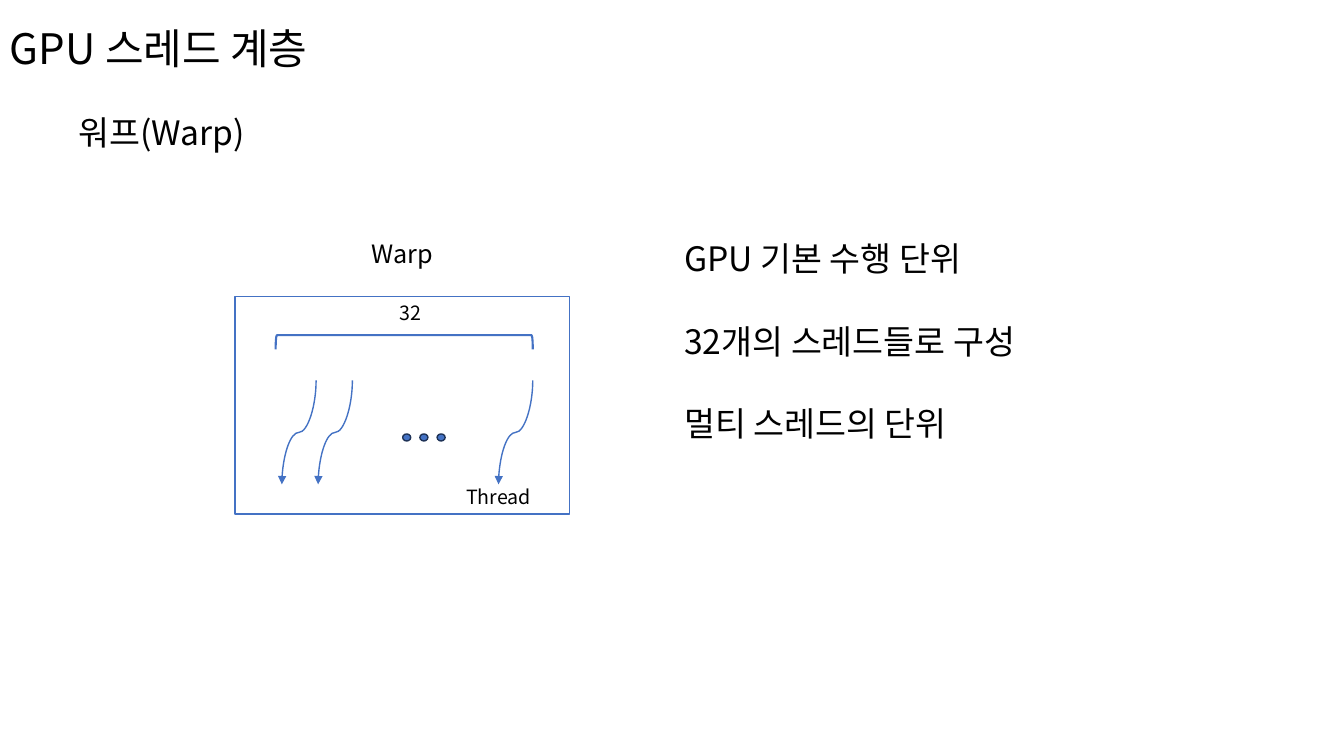
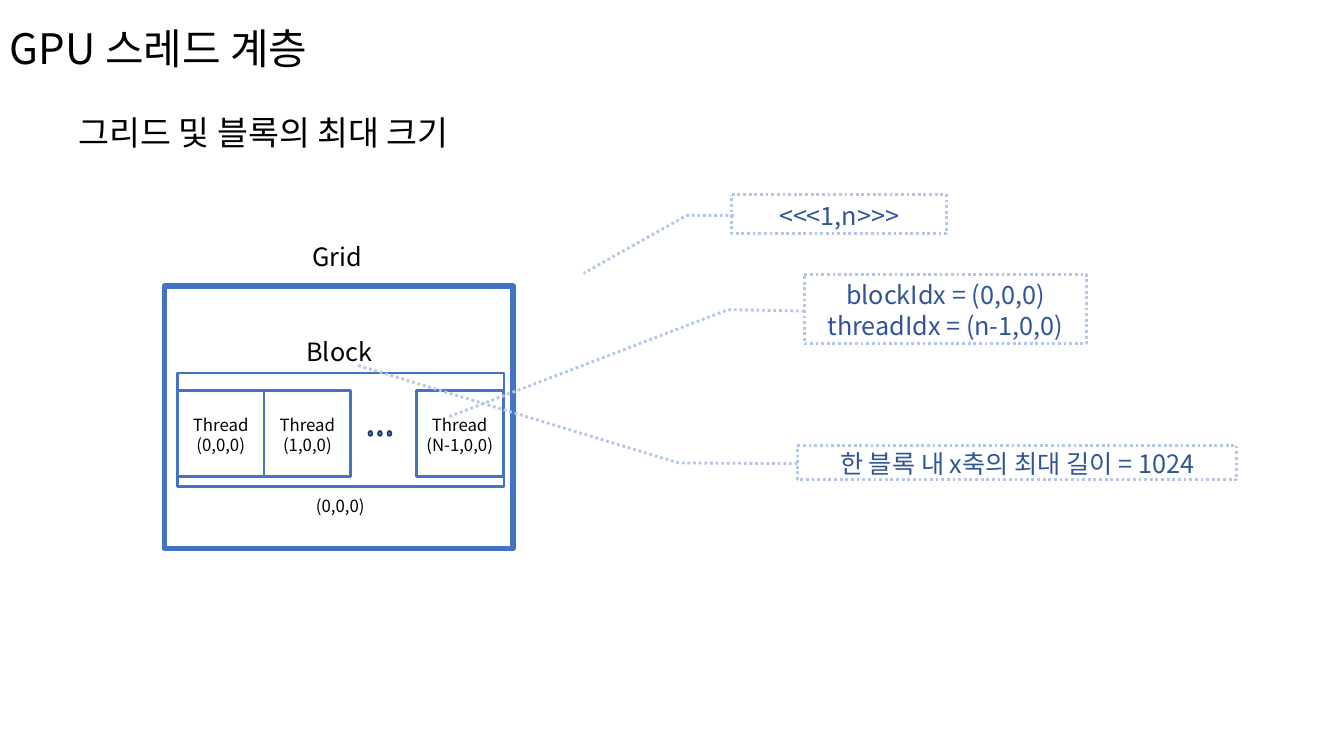
"""Build two slides on the GPU thread hierarchy: warps, and grid and block limits."""
import pptx
import pptx.util
import pptx.dml.color
import pptx.enum.dml
import pptx.enum.shapes
import pptx.enum.text
import pptx.oxml.ns
import lxml.etree

INK = {"text": "000000", "blue": "4472C4", "navy": "1E3256",
       "pale": "B4C7E7", "deep": "2F5597", "white": "FFFFFF"}
FONT = "Noto Sans CJK KR"
KIND = pptx.enum.shapes.MSO_SHAPE
ALIGN = pptx.enum.text.PP_ALIGN
QN = pptx.oxml.ns.qn

deck = pptx.Presentation()
deck.slide_width = pptx.util.Inches(13.33)
deck.slide_height = pptx.util.Inches(7.5)


def area(x, y, w, h):
    """Turn percent shares of the slide into lengths."""
    wide, high = deck.slide_width / 100, deck.slide_height / 100
    return round(x * wide), round(y * high), round(w * wide), round(h * high)


def write(page, box, text="", kind=None, size=18, ink="text", fill=None, line="blue",
          width=1, dash=None, align=ALIGN.CENTER, mid=False, side=0.1):
    """Add a text box, or a shape of the given kind, holding the text."""
    if kind is None:
        item = page.shapes.add_textbox(*area(*box))
    else:
        item = page.shapes.add_shape(kind, *area(*box))
        item.shadow.inherit = False
        item.line.color.rgb = pptx.dml.color.RGBColor.from_string(INK[line])
        item.line.width = pptx.util.Pt(width)
        if dash:
            item.line.dash_style = dash
        if fill:
            item.fill.solid()
            item.fill.fore_color.rgb = pptx.dml.color.RGBColor.from_string(INK[fill])
        else:
            item.fill.background()
    if not text:
        return item
    frame = item.text_frame
    frame.word_wrap = True
    frame.margin_left = frame.margin_right = pptx.util.Inches(side)
    frame.margin_top = pptx.util.Inches(0.07)
    frame.margin_bottom = pptx.util.Inches(0.05)
    anchor = pptx.enum.text.MSO_ANCHOR
    frame.vertical_anchor = anchor.MIDDLE if mid else anchor.TOP
    for i, part in enumerate(text.split("\n")):
        para = frame.add_paragraph() if i else frame.paragraphs[0]
        para.alignment = align
        para.line_spacing = pptx.util.Pt(size * 1.2)
        run = para.add_run()
        run.text = part
        run.font.size = pptx.util.Pt(size)
        run.font.name = FONT
        run.font.color.rgb = pptx.dml.color.RGBColor.from_string(INK[ink])
        lxml.etree.SubElement(run.font._element, QN("a:ea"), typeface=FONT)
    return item


pages = []
for head in ("워프(Warp)", "그리드 및 블록의 최대 크기"):
    page = deck.slides.add_slide(deck.slide_layouts[6])
    write(page, (0, 0.27, 100, 11.73), "GPU 스레드 계층", size=30, align=ALIGN.LEFT, mid=True)
    write(page, (5.1, 13.87, 52.4, 6.67), head, size=24, align=ALIGN.LEFT)
    pages.append(page)
warp, grid = pages

write(warp, (17.48, 39.2, 24.9, 28.8), kind=KIND.RECTANGLE)
write(warp, (21.83, 30.53, 16.2, 7.47), "Warp")
for left in (18.38, 21.08, 34.5):
    x, y, w, h = area(left, 54.93, 7.73, 4.53)
    curve = warp.shapes.add_connector(pptx.enum.shapes.MSO_CONNECTOR.CURVE, x, y, x + w, y + h)
    curve.line.color.rgb = pptx.dml.color.RGBColor.from_string(INK["blue"])
    curve.line.width = pptx.util.Pt(1)
    form = curve._element.spPr
    form.find(QN("a:xfrm")).set("rot", "5400000")
    lxml.etree.SubElement(form.find(QN("a:ln")), QN("a:tailEnd"), type="triangle")
    lxml.etree.SubElement(form, QN("a:effectLst"))
brace = write(warp, (29.55, 28.27, 1.05, 34), kind=KIND.LEFT_BRACKET, width=1.5)
brace.rotation = 90
write(warp, (22.58, 38.93, 15.98, 6.27), "32", size=14)
write(warp, (29.1, 63.2, 15.98, 6.27), "Thread", size=14)
for i, fact in enumerate(("GPU 기본 수행 단위", "32개의 스레드들로 구성", "멀티 스레드의 단위")):
    write(warp, (50.18, 30.53 + 10.93 * i, 39.75, 6.67), fact, size=24, align=ALIGN.LEFT)

write(grid, (12.23, 37.87, 25.95, 34.67), kind=KIND.RECTANGLE, width=4)
write(grid, (13.2, 49.33, 24.3, 15.07), kind=KIND.RECTANGLE, width=2)
write(grid, (20.55, 30.93, 9.08, 5.33), "Grid")
write(grid, (20.7, 43.6, 9.08, 5.33), "Block")
write(grid, (20.78, 64.67, 9.08, 4), "(0,0,0)", size=12)
for left, index in ((13.2, "0"), (19.65, "1"), (30.98, "N-1")):
    write(grid, (left, 51.6, 6.45, 11.47), f"Thread\n({index},0,0)", kind=KIND.RECTANGLE,
          size=12, width=2, mid=True, side=0)

for page, left, top, step, w, h in ((warp, 29.96, 57.4, 1.28, 0.6, 0.93),
                                    (grid, 27.41, 57, 0.71, 0.3, 0.67)):
    for i in range(3):
        write(page, (left + step * i, top, w, h), kind=KIND.FLOWCHART_CONNECTOR,
              fill="blue", line="navy")

notes = (
    ((54.45, 25.73, 15.98, 5.2), "<<<1,n>>>", (0.53, 0.01, 0.53, -0.21, 2, -0.69)),
    ((59.85, 36.27, 21, 9.2), "blockIdx = (0,0,0)\nthreadIdx = (n-1,0,0)",
     (0.53, 0, 0.51, -0.27, 2.05, -1.26)),
    ((59.33, 58.93, 32.7, 4.53), "한 블록 내 x축의 최대 길이 = 1024",
     (0.53, 0, 0.51, -0.27, -2.34, -1)),
)
for box, text, bends in notes:
    note = write(grid, box, text, kind=KIND.LINE_CALLOUT_2, ink="deep", fill="white",
                 line="pale", width=2, dash=pptx.enum.dml.MSO_LINE.ROUND_DOT, mid=True)
    for i, bend in enumerate(bends):
        note.adjustments[i] = bend

deck.save("out.pptx")
